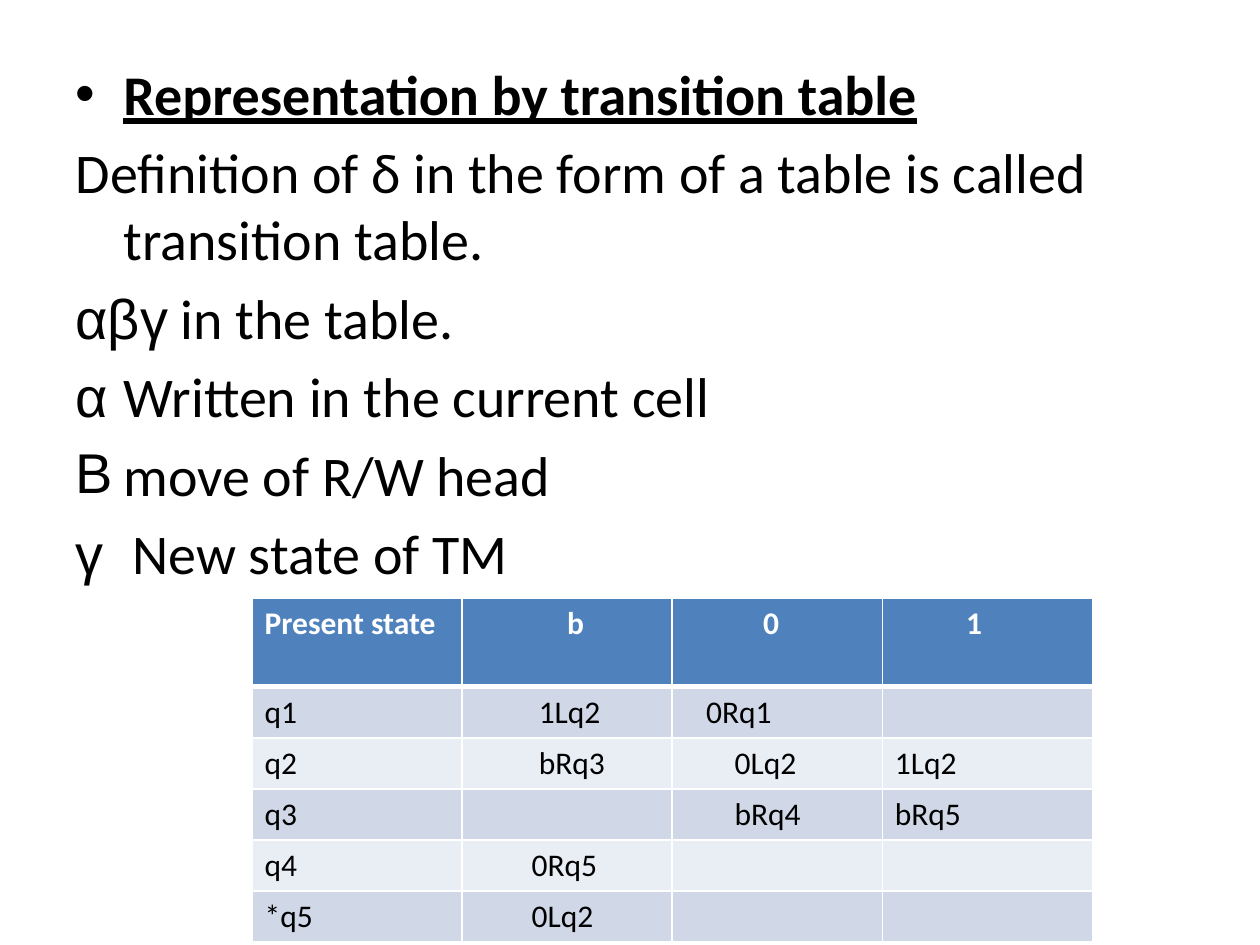
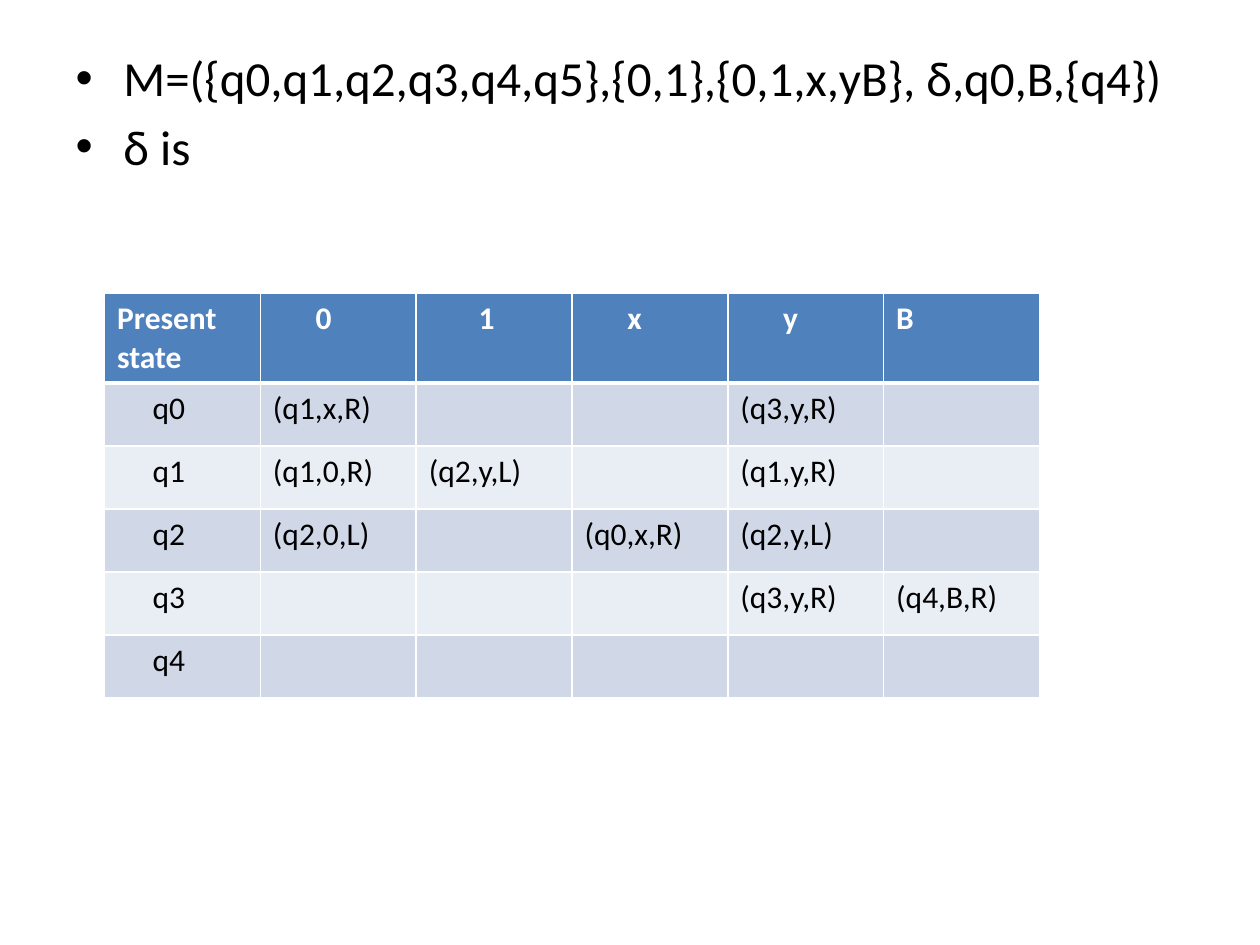
import pptx
import pptx.util
import pptx.dml.color
import pptx.oxml
import pptx.oxml.ns
from dataclasses import dataclass
from lxml import etree


@dataclass(frozen=True)
class Theme:
    font: str = "Calibri"
    greek: str = "Arial"
    ink: str = "000000"
    white: str = "FFFFFF"
    head: str = "4F81BD"
    bands: tuple = ("D0D8E8", "E9EDF4")
    cell: int = 18
    thin: int = 1
    thick: int = 3
    step: float = 4.07
    hang: float = 0.38


THEME = Theme()
WIDE, HIGH = 10, 7.5

SLIDES = [
    {
        "size": 32,
        "body": (0.5, 0.42, 9, 6.28),
        "lines": [
            {"text": "Representation by transition table", "mark": "•", "strong": True},
            {"text": "Definition of δ in the form of a table is called transition table."},
            {"greek": "αβγ", "text": " in the table."},
            {"greek": "α ", "text": "Written in the current cell"},
            {"text": "move of R/W head", "mark": "Β"},
            {"greek": "γ", "text": "\tNew state of TM", "hang": 0.45},
        ],
        "grid": (2, 4.75, 6.67),
        "rows": (0.7, 0.4),
        "cells": [
            ["Present state", ("b", 13), ("0", 11), ("1", 10)],
            ["q1", ("1Lq2", 9), ("0Rq1", 3), ""],
            ["q2", ("bRq3", 9), ("0Lq2", 7), "1Lq2"],
            ["q3", "", ("bRq4", 7), "bRq5"],
            ["q4", ("0Rq5", 8), "", ""],
            ["*q5", ("0Lq2", 8), "", ""],
        ],
    },
    {
        "size": 28,
        "body": (0.5, 0.33, 9, 6.37),
        "lines": [
            {"text": "M=({q0,q1,q2,q3,q4,q5},{0,1},{0,1,x,yB}, δ,q0,B,{q4})", "mark": "•"},
            {"text": "δ is", "mark": "•"},
        ],
        "grid": (0.83, 2.33, 7.42),
        "rows": (0.7, 0.5),
        "cells": [
            ["Present state", ("0", 6), ("1", 7), ("x", 6), ("y", 6), "B"],
            [("q0", 5), "(q1,x,R)", "", "", "(q3,y,R)", ""],
            [("q1", 5), "(q1,0,R)", "(q2,y,L)", "", "(q1,y,R)", ""],
            [("q2", 5), "(q2,0,L)", "", "(q0,x,R)", "(q2,y,L)", ""],
            [("q3", 5), "", "", "", "(q3,y,R)", "(q4,B,R)"],
            [("q4", 5), "", "", "", "", ""],
        ],
    },
]


def inch(value):
    return pptx.util.Inches(value)


def color(code):
    return pptx.dml.color.RGBColor.from_string(code)


def style(font, size, code, bold=False, name=THEME.font):
    font.name = name
    font.size = pptx.util.Pt(size)
    font.color.rgb = color(code)
    font.bold = bold


def sub(node, tag, **attrs):
    return etree.SubElement(node, pptx.oxml.ns.qn(tag), **attrs)


def set_mark(para, mark, hang):
    props = para._p.get_or_add_pPr()
    props.set("marL", str(inch(hang)))
    props.set("indent", str(-inch(hang)))
    if mark:
        sub(props, "a:buFont", typeface=THEME.greek)
        sub(props, "a:buChar", char=mark)
    else:
        sub(props, "a:buNone")


def add_body(slide, spec):
    title = slide.shapes.title._element
    title.getparent().remove(title)
    body = slide.placeholders[1]
    body.left, body.top, body.width, body.height = map(inch, spec["body"])
    frame = body.text_frame
    for num, line in enumerate(spec["lines"]):
        para = frame.add_paragraph() if num else frame.paragraphs[0]
        set_mark(para, line.get("mark"), line.get("hang", THEME.hang))
        strong = line.get("strong", False)
        for part, name in (("greek", THEME.greek), ("text", THEME.font)):
            if part in line:
                run = para.add_run()
                run.text = line[part]
                style(run.font, spec["size"], THEME.ink, strong, name)
                run.font.underline = strong


def set_edges(cell, row):
    props = cell._tc.get_or_add_tcPr()
    for num, side in enumerate("LRTB"):
        heavy = (row, side) in ((0, "B"), (1, "T"))
        width = pptx.util.Pt(THEME.thick if heavy else THEME.thin)
        edge = pptx.oxml.parse_xml(
            f'<a:ln{side} {pptx.oxml.ns.nsdecls("a")} w="{width}"><a:solidFill>'
            f'<a:srgbClr val="{THEME.white}"/></a:solidFill></a:ln{side}>'
        )
        props.insert(num, edge)


def fill_cell(cell, item, row):
    text, steps = item if isinstance(item, tuple) else (item, 0)
    head = row == 0
    cell.fill.solid()
    cell.fill.fore_color.rgb = color(THEME.head if head else THEME.bands[(row - 1) % 2])
    set_edges(cell, row)
    cell.margin_left = inch(0.1) + pptx.util.Pt(THEME.step * steps)
    cell.text_frame.text = text
    para = cell.text_frame.paragraphs[0]
    style(para.font, THEME.cell, THEME.white if head else THEME.ink, head)
    for run in para.runs:
        style(run.font, THEME.cell, THEME.white if head else THEME.ink, head)


def add_grid(slide, spec):
    cells = spec["cells"]
    left, top, width = spec["grid"]
    first, rest = spec["rows"]
    count = len(cells[0])
    high = first + rest * (len(cells) - 1)
    table = slide.shapes.add_table(
        len(cells), count, inch(left), inch(top), inch(width), inch(high)
    ).table
    for col in table.columns:
        col.width = inch(width / count)
    for row, items in enumerate(cells):
        table.rows[row].height = inch(rest if row else first)
        for col, item in enumerate(items):
            fill_cell(table.cell(row, col), item, row)


def main():
    deck = pptx.Presentation()
    deck.slide_width, deck.slide_height = inch(WIDE), inch(HIGH)
    for spec in SLIDES:
        slide = deck.slides.add_slide(deck.slide_layouts[1])
        add_body(slide, spec)
        add_grid(slide, spec)
    deck.save("out.pptx")


if __name__ == "__main__":
    main()
